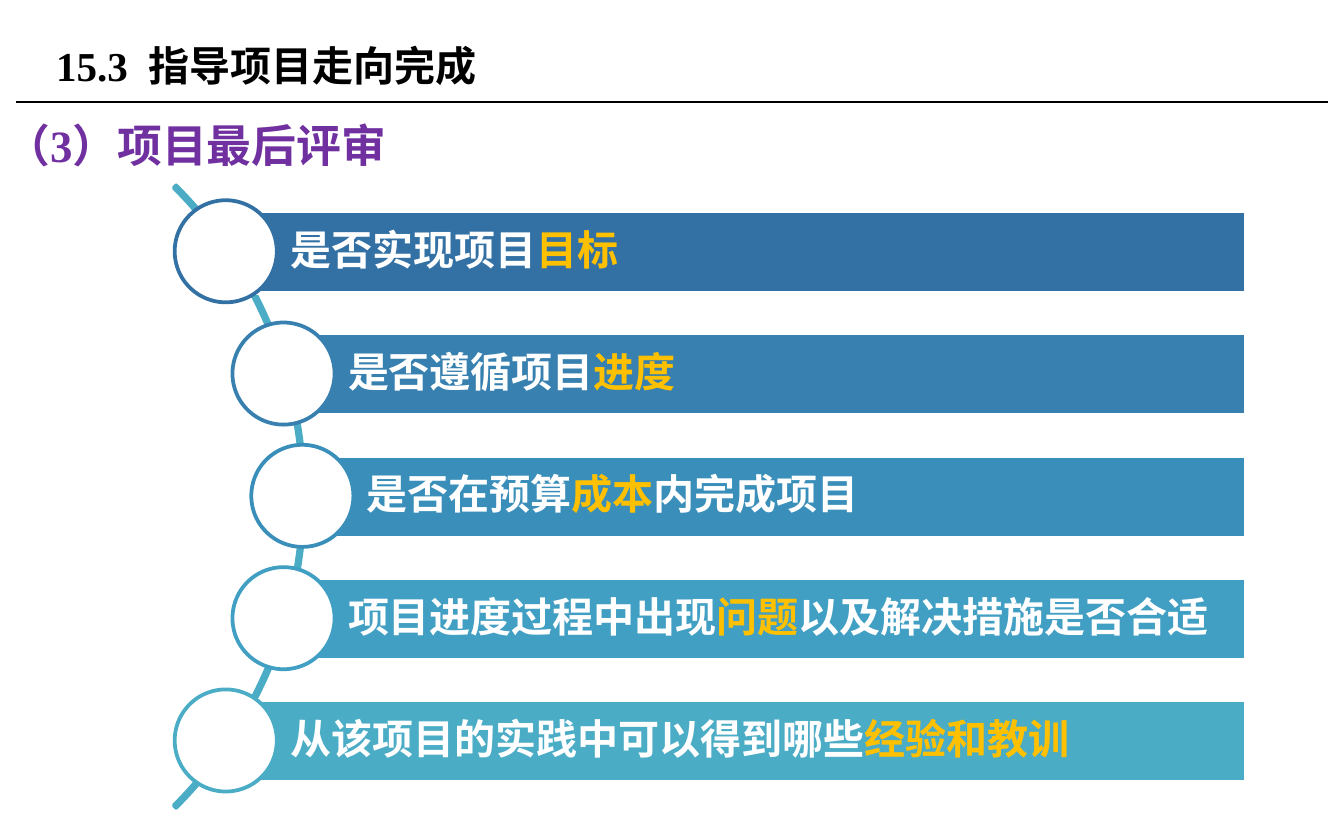
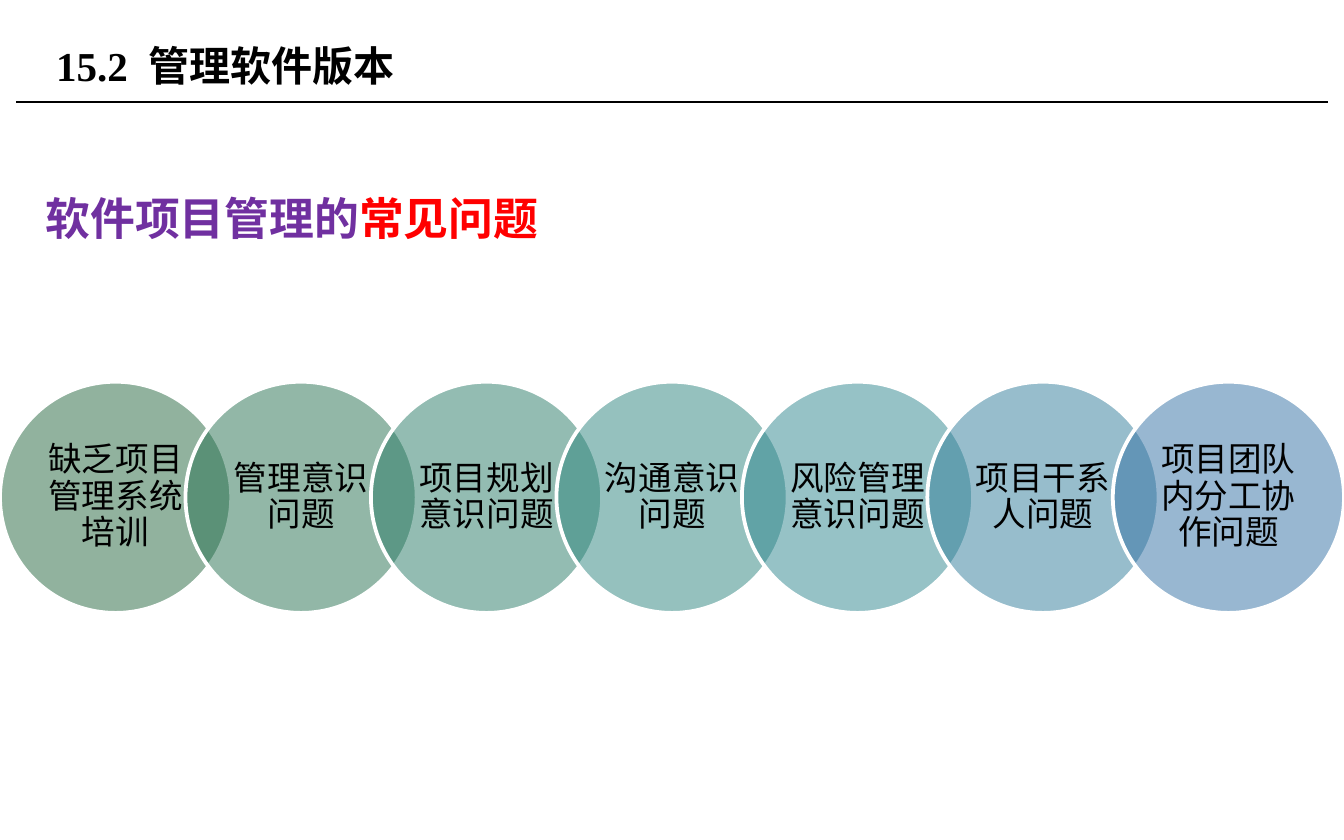
"""Build two slides on guiding a software project to completion."""
from dataclasses import dataclass

from lxml.etree import SubElement
from pptx import Presentation
from pptx.dml.color import RGBColor
from pptx.enum.shapes import MSO_CONNECTOR, MSO_SHAPE
from pptx.enum.text import MSO_ANCHOR, PP_ALIGN
from pptx.oxml.ns import qn
from pptx.shapes.autoshape import Shape
from pptx.slide import Slide
from pptx.text.text import TextFrame
from pptx.util import Emu, Pt

PX = 9144
PAGE_WIDTH, PAGE_HEIGHT = 1000, 625

BLACK = RGBColor(0x00, 0x00, 0x00)
WHITE = RGBColor(0xFF, 0xFF, 0xFF)
PURPLE = RGBColor(0x70, 0x30, 0xA0)
RED = RGBColor(0xFF, 0x00, 0x00)
GOLD = RGBColor(0xFF, 0xC0, 0x00)
BLUE = RGBColor(0x33, 0x71, 0xA4)
TEAL = RGBColor(0x4B, 0xAC, 0xC6)

SERIF = "Times New Roman"
HAN = "Noto Sans CJK SC"
BAR_FONT = "Noto Sans CJK JP"
RING_FONT = "Cabin"

BAR_TOP, BAR_PITCH, BAR_HEIGHT, BAR_RIGHT = 157, 91, 61, 927
KNOB = 76
RING, RING_PITCH, RING_TOP = 172, 138, 284


@dataclass(frozen=True)
class Area:
    """A rectangle in px."""
    left: int
    top: int
    width: int
    height: int

    def emu(self) -> tuple[Emu, Emu, Emu, Emu]:
        """Return the four lengths in EMU."""
        return px(self.left), px(self.top), px(self.width), px(self.height)


@dataclass(frozen=True)
class Style:
    """The look of a run of text."""
    size: int
    color: RGBColor
    latin: str = SERIF
    asian: str = HAN
    bold: bool = True


@dataclass(frozen=True)
class Span:
    """A run of text with its style."""
    text: str
    style: Style


@dataclass(frozen=True)
class Bar:
    """A review question beside a knob on the arc."""
    left: int
    color: RGBColor
    spans: tuple[Span, ...]


@dataclass(frozen=True)
class Ring:
    """A common problem in the chain of circles."""
    text: str
    color: RGBColor


TITLE = Style(22, BLACK)
HEADING = Style(24, PURPLE)
HEADING_HAN = Style(24, PURPLE, HAN)
HEADING_RED = Style(24, RED)
PLAIN = Style(22, WHITE, BAR_FONT, BAR_FONT)
KEY = Style(22, GOLD, BAR_FONT, BAR_FONT)
RING_STYLE = Style(18, BLACK, RING_FONT, HAN, False)

BARS = (
    Bar(168, BLUE, (Span("是否实现项目", PLAIN), Span("目标", KEY))),
    Bar(211, RGBColor(0x37, 0x80, 0xAF), (Span("是否遵循项目", PLAIN), Span("进度", KEY))),
    Bar(225, RGBColor(0x3A, 0x8F, 0xBA),
        (Span("是否在预算", PLAIN), Span("成本", KEY), Span("内完成项目", PLAIN))),
    Bar(211, RGBColor(0x40, 0x9F, 0xC3),
        (Span("项目进度过程中出现", PLAIN), Span("问题", KEY), Span("以及解决措施是否合适", PLAIN))),
    Bar(168, TEAL, (Span("从该项目的实践中可以得到哪些", PLAIN), Span("经验和教训", KEY))),
)

RINGS = (
    Ring("缺乏项目管理系统培训", RGBColor(0x24, 0x67, 0x3E)),
    Ring("管理意识问题", RGBColor(0x27, 0x71, 0x51)),
    Ring("项目规划意识问题", RGBColor(0x29, 0x7B, 0x66)),
    Ring("沟通意识问题", RGBColor(0x2C, 0x85, 0x7E)),
    Ring("风险管理意识问题", RGBColor(0x2E, 0x86, 0x8F)),
    Ring("项目干系人问题", RGBColor(0x31, 0x7D, 0x9A)),
    Ring("项目团队内分工协作问题", BLUE),
)


def px(length: int) -> Emu:
    """Turn px into EMU."""
    return Emu(length * PX)


def write(frame: TextFrame, spans: tuple[Span, ...], insets: tuple[int, int, int, int],
          anchor: MSO_ANCHOR = MSO_ANCHOR.MIDDLE, align: PP_ALIGN = PP_ALIGN.LEFT,
          spacing: float = 1.0) -> None:
    """Fill a text frame with one paragraph of spans."""
    frame.word_wrap = True
    frame.vertical_anchor = anchor
    frame.margin_left, frame.margin_top, frame.margin_right, frame.margin_bottom = map(px, insets)
    para = frame.paragraphs[0]
    para.alignment = align
    para.line_spacing = spacing
    for span in spans:
        run = para.add_run()
        run.text = span.text
        run.font.size = Pt(span.style.size)
        run.font.bold = span.style.bold
        run.font.color.rgb = span.style.color
        run.font.name = span.style.latin
        SubElement(run.font._element, qn("a:ea"), typeface=span.style.asian)


def add_text(page: Slide, area: Area, spans: tuple[Span, ...],
             insets: tuple[int, int, int, int] = (10, 5, 10, 5),
             anchor: MSO_ANCHOR = MSO_ANCHOR.MIDDLE, spacing: float = 1.0) -> None:
    """Add a text box."""
    box = page.shapes.add_textbox(*area.emu())
    write(box.text_frame, spans, insets, anchor, spacing=spacing)


def add_figure(page: Slide, kind: MSO_SHAPE, area: Area, fill: RGBColor | None,
               line: RGBColor) -> Shape:
    """Add a preset shape with a 2 pt outline and no shadow."""
    shape = page.shapes.add_shape(kind, *area.emu())
    shape.shadow.inherit = False
    if fill is None:
        shape.fill.background()
    else:
        shape.fill.solid()
        shape.fill.fore_color.rgb = fill
    shape.line.color.rgb = line
    shape.line.width = Pt(2)
    return shape


def add_page(deck: Presentation, title: str) -> Slide:
    """Add a blank page with the title and the rule under it."""
    page = deck.slides.add_slide(deck.slide_layouts[6])
    rule = page.shapes.add_connector(MSO_CONNECTOR.STRAIGHT, px(12), px(76), px(988), px(76))
    rule.line.color.rgb = BLACK
    rule.line.width = Pt(0.75)
    SubElement(rule._element.spPr, qn("a:effectLst"))
    add_text(page, Area(32, 13, 638, 71), (Span(title, TITLE),))
    return page


def add_bar(page: Slide, index: int, bar: Bar) -> None:
    """Add a bar with its question and its knob."""
    top = BAR_TOP + index * BAR_PITCH
    area = Area(bar.left, top, BAR_RIGHT - bar.left, BAR_HEIGHT)
    band = add_figure(page, MSO_SHAPE.RECTANGLE, area, bar.color, WHITE)
    write(band.text_frame, bar.spans, (48, 6, 6, 6), spacing=0.9)
    knob = Area(bar.left - KNOB // 2, top - (KNOB - BAR_HEIGHT) // 2 - 1, KNOB, KNOB)
    add_figure(page, MSO_SHAPE.OVAL, knob, WHITE, bar.color)


def add_ring(page: Slide, index: int, ring: Ring) -> None:
    """Add a half transparent circle with its problem."""
    area = Area(index * RING_PITCH, RING_TOP, RING, RING)
    circle = add_figure(page, MSO_SHAPE.OVAL, area, ring.color, WHITE)
    color = circle._element.spPr.find(qn("a:solidFill")).find(qn("a:srgbClr"))
    SubElement(color, qn("a:alpha"), val="50000")
    write(circle.text_frame, (Span(ring.text, RING_STYLE),), (9, 3, 9, 3),
          align=PP_ALIGN.CENTER, spacing=0.9)


def build_review(deck: Presentation) -> None:
    """Build the page on the final project review."""
    page = add_page(deck, "15.3  指导项目走向完成")
    heading = (Span("（3）", HEADING), Span("项目最后评审", HEADING_HAN))
    add_text(page, Area(4, 86, 307, 42), heading, (0, 1, 0, 0))
    arc = add_figure(page, MSO_SHAPE.BLOCK_ARC, Area(-428, 42, 655, 655), None, TEAL)
    for position, value in enumerate((189, 27, 0.004)):
        arc.adjustments[position] = value
    for index, bar in enumerate(BARS):
        add_bar(page, index, bar)


def build_problems(deck: Presentation) -> None:
    """Build the page on common management problems."""
    page = add_page(deck, "15.2  管理软件版本")
    heading = (Span("软件项目管理的", HEADING), Span("常见问题", HEADING_RED))
    add_text(page, Area(24, 117, 953, 390), heading, anchor=MSO_ANCHOR.TOP, spacing=1.5)
    for index, ring in enumerate(RINGS):
        add_ring(page, index, ring)


def main() -> None:
    """Build and save the deck."""
    deck = Presentation()
    deck.slide_width, deck.slide_height = px(PAGE_WIDTH), px(PAGE_HEIGHT)
    build_review(deck)
    build_problems(deck)
    deck.save("out.pptx")


if __name__ == "__main__":
    main()
